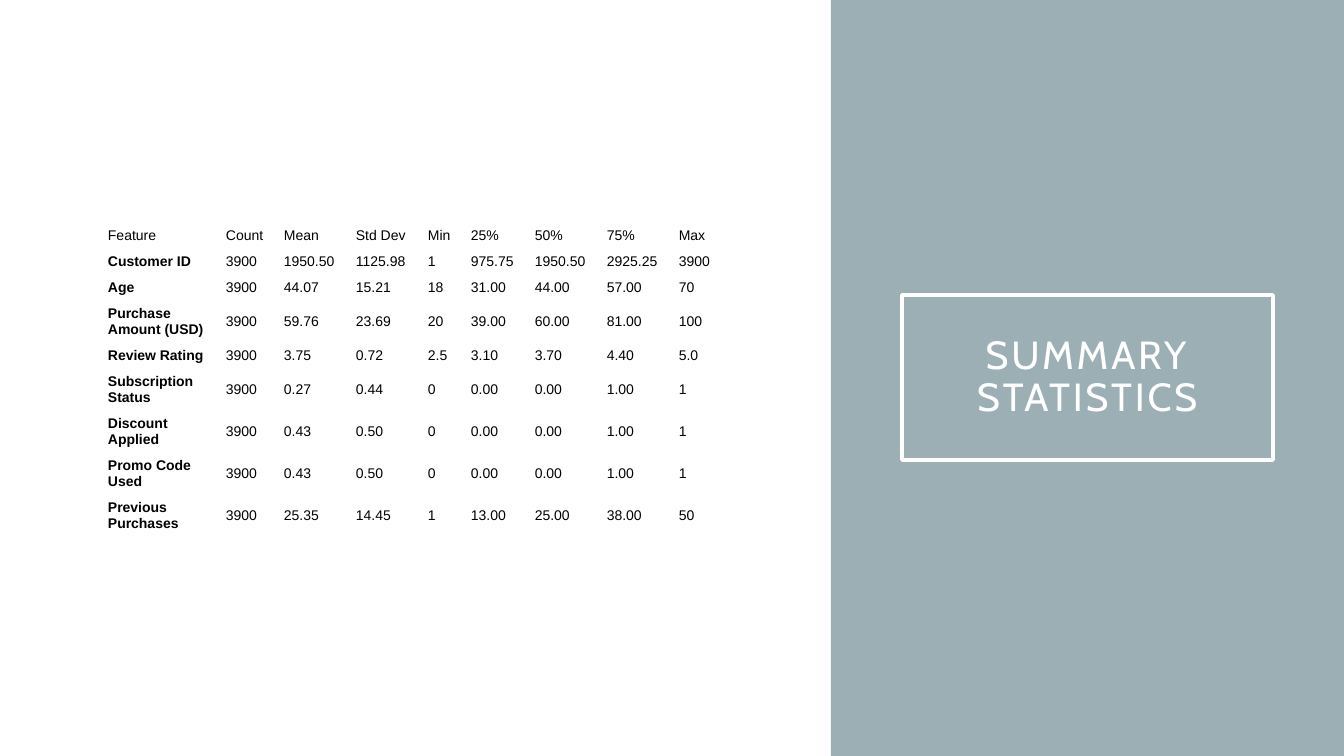
from dataclasses import dataclass

from pptx import Presentation
from pptx.dml.color import RGBColor
from pptx.enum.shapes import MSO_SHAPE
from pptx.enum.text import MSO_ANCHOR, MSO_AUTO_SIZE, PP_ALIGN
from pptx.util import Emu, Pt

EMU_PER_PX = 914400 / 100.8
TITLE_ONLY_LAYOUT = 5


def px(length):
    return Emu(round(length * EMU_PER_PX))


@dataclass(frozen=True)
class Theme:
    panel: RGBColor = RGBColor(0x9B, 0xAF, 0xB5)
    light: RGBColor = RGBColor(0xFF, 0xFF, 0xFF)
    ink: RGBColor = RGBColor(0x00, 0x00, 0x00)
    title_font: str = "Cabin"
    title_size: int = 28
    table_font: str = "Arial"
    table_size: int = 10


class SlideBuilder:
    def __init__(self, slide, theme):
        self.slide = slide
        self.theme = theme

    def add_run(self, paragraph, text, font, size, color, bold=False):
        run = paragraph.add_run()
        run.text = text
        run.font.name = font
        run.font.size = Pt(size)
        run.font.color.rgb = color
        run.font.bold = bold
        return run

    def panel(self, left, top, width, height):
        shape = self.slide.shapes.add_shape(
            MSO_SHAPE.RECTANGLE, px(left), px(top), px(width), px(height))
        shape.shadow.inherit = False
        shape.fill.solid()
        shape.fill.fore_color.rgb = self.theme.panel
        shape.line.fill.background()
        # The panel lies behind the title
        self.slide.shapes.title._element.addprevious(shape._element)

    def title(self, text, left, top, width, height, inset):
        shape = self.slide.shapes.title
        shape.left, shape.top = px(left), px(top)
        shape.width, shape.height = px(width), px(height)
        shape.fill.background()
        shape.line.color.rgb = self.theme.light
        shape.line.width = Pt(2.5)
        frame = shape.text_frame
        frame.word_wrap = True
        frame.auto_size = MSO_AUTO_SIZE.NONE
        frame.vertical_anchor = MSO_ANCHOR.MIDDLE
        frame.margin_left = frame.margin_right = px(inset)
        frame.margin_top = frame.margin_bottom = px(inset)
        paragraph = frame.paragraphs[0]
        paragraph.alignment = PP_ALIGN.CENTER
        paragraph.line_spacing = 0.9
        run = self.add_run(paragraph, text, self.theme.title_font,
                           self.theme.title_size, self.theme.light)
        run.font._element.set("spc", "200")

    def table(self, rows, left, top, widths, heights):
        table = self.slide.shapes.add_table(
            len(rows), len(widths), px(left), px(top),
            px(sum(widths)), px(sum(heights))).table
        table.first_row = table.horz_banding = False
        for column, width in zip(table.columns, widths):
            column.width = px(width)
        for row, height in zip(table.rows, heights):
            row.height = px(height)
        for row_index, values in enumerate(rows):
            for column_index, value in enumerate(values):
                is_feature = row_index > 0 and column_index == 0
                self.fill_cell(table.cell(row_index, column_index),
                               value, is_feature)

    def fill_cell(self, cell, text, bold):
        cell.fill.background()
        cell.vertical_anchor = MSO_ANCHOR.MIDDLE
        cell.margin_left = cell.margin_right = px(6)
        cell.margin_top = cell.margin_bottom = px(3)
        self.add_run(cell.text_frame.paragraphs[0], text, self.theme.table_font,
                     self.theme.table_size, self.theme.ink, bold)


STATISTICS = [
    ("Feature", "Count", "Mean", "Std Dev", "Min", "25%", "50%", "75%", "Max"),
    ("Customer ID", "3900", "1950.50", "1125.98", "1", "975.75", "1950.50", "2925.25", "3900"),
    ("Age", "3900", "44.07", "15.21", "18", "31.00", "44.00", "57.00", "70"),
    ("Purchase Amount (USD)", "3900", "59.76", "23.69", "20", "39.00", "60.00", "81.00", "100"),
    ("Review Rating", "3900", "3.75", "0.72", "2.5", "3.10", "3.70", "4.40", "5.0"),
    ("Subscription Status", "3900", "0.27", "0.44", "0", "0.00", "0.00", "1.00", "1"),
    ("Discount Applied", "3900", "0.43", "0.50", "0", "0.00", "0.00", "1.00", "1"),
    ("Promo Code Used", "3900", "0.43", "0.50", "0", "0.00", "0.00", "1.00", "1"),
    ("Previous Purchases", "3900", "25.35", "14.45", "1", "13.00", "25.00", "38.00", "50"),
]
COLUMN_WIDTHS = [118, 58, 72, 72, 43, 64, 72, 72, 51]
ONE_LINE, TWO_LINES = 26, 42
# Feature names longer than this wrap onto a second line
LONGEST_ONE_LINE_NAME = 13


def main():
    presentation = Presentation()
    presentation.slide_width, presentation.slide_height = px(1344), px(756)
    slide = presentation.slides.add_slide(
        presentation.slide_layouts[TITLE_ONLY_LAYOUT])
    builder = SlideBuilder(slide, Theme())

    # Title on the coloured side panel
    builder.panel(831, 0, 513, 756)
    builder.title("SUMMARY STATISTICS", 902, 295, 371, 165, inset=20)

    # Statistics table
    row_heights = [TWO_LINES if len(row[0]) > LONGEST_ONE_LINE_NAME else ONE_LINE
                   for row in STATISTICS]
    builder.table(STATISTICS, 102, 223, COLUMN_WIDTHS, row_heights)

    presentation.save("out.pptx")


if __name__ == "__main__":
    main()
